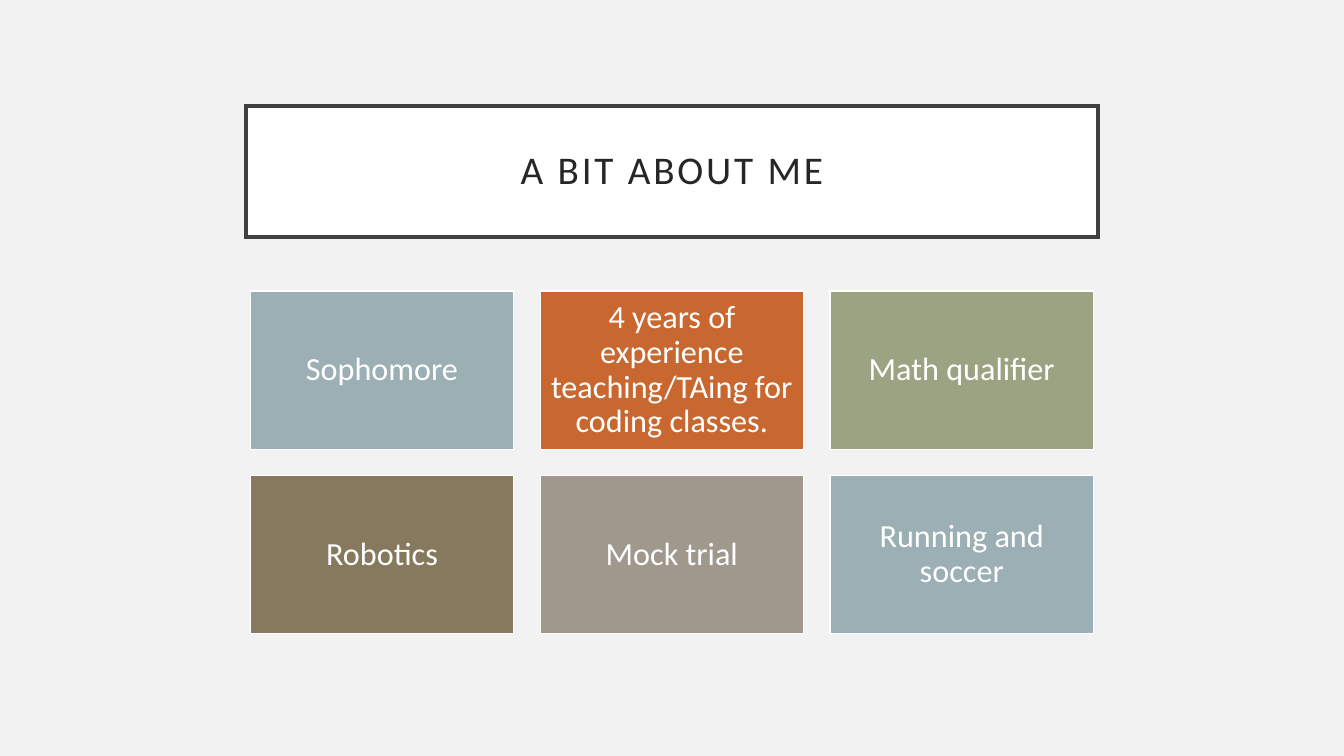
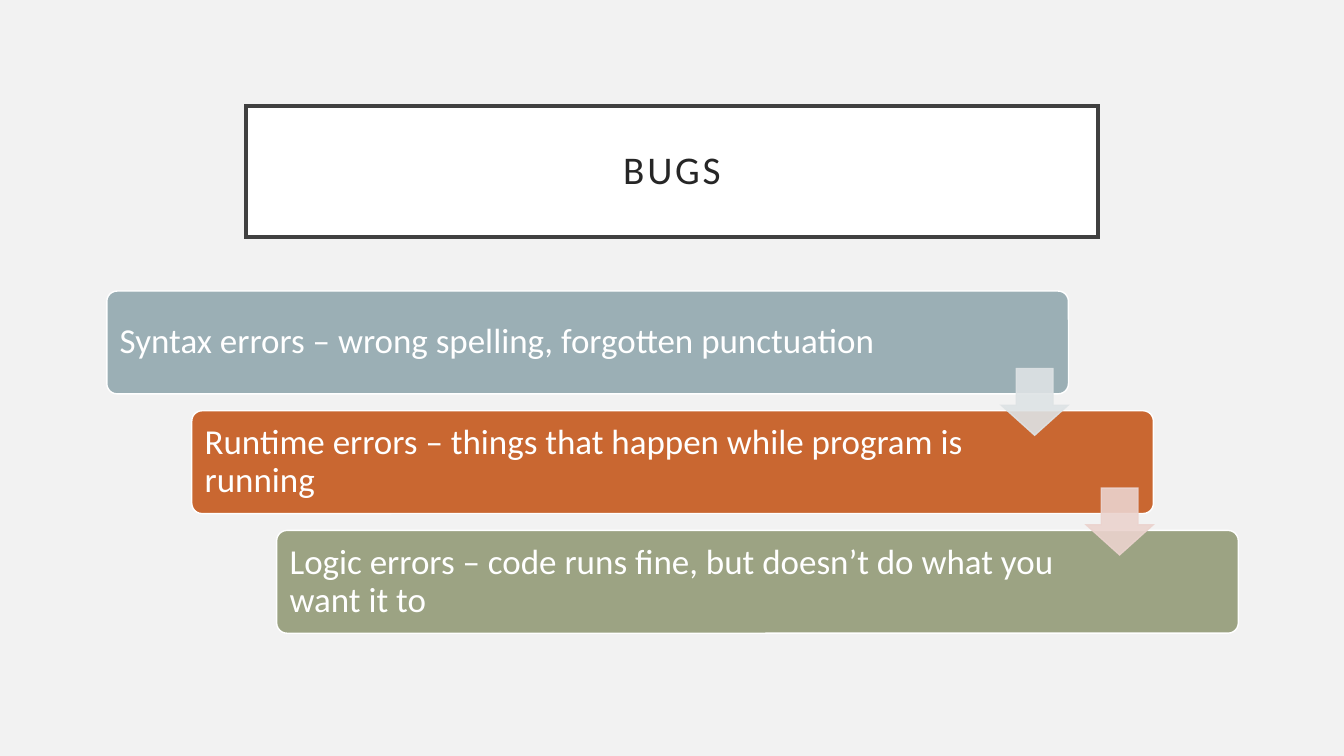
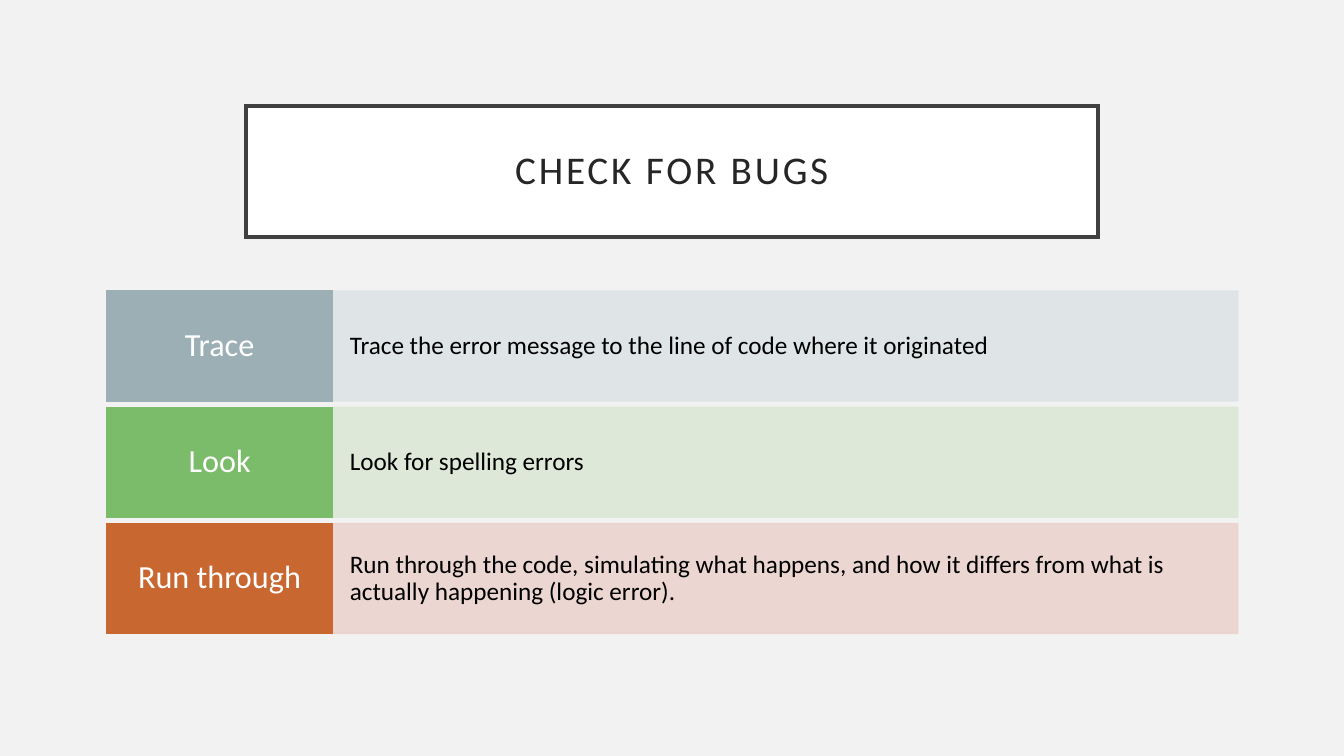
import pptx
import pptx.util
import pptx.dml.color
import pptx.enum.shapes
import pptx.enum.text
import pptx.oxml
import pptx.oxml.ns

RGBColor = pptx.dml.color.RGBColor
Inches = pptx.util.Inches
Shape = pptx.enum.shapes.MSO_SHAPE
Align = pptx.enum.text.PP_ALIGN

PALE = RGBColor(0xF2, 0xF2, 0xF2)
WHITE = RGBColor(0xFF, 0xFF, 0xFF)
BLACK = RGBColor(0x00, 0x00, 0x00)
INK = RGBColor(0x26, 0x26, 0x26)
FRAME = RGBColor(0x40, 0x40, 0x40)
BLUE = RGBColor(0x9B, 0xAF, 0xB5)
RUST = RGBColor(0xC9, 0x67, 0x31)
SAGE = RGBColor(0x9C, 0xA3, 0x83)
BROWN = RGBColor(0x87, 0x79, 0x5D)
STONE = RGBColor(0xA0, 0x98, 0x8C)
GREEN = RGBColor(0x7A, 0xBC, 0x69)
MIST = RGBColor(0xDE, 0xE3, 0xE5)
MINT = RGBColor(0xDB, 0xE8, 0xD6)
BLUSH = RGBColor(0xEB, 0xD3, 0xCE)

deck = pptx.Presentation()
deck.slide_width = Inches(13.33)
deck.slide_height = Inches(7.5)
COL = deck.slide_width / 100
ROW = deck.slide_height / 100
LEFT = 7.95
TOP = 38.5

back = deck.slide_master.background.fill
back.solid()
back.fore_color.rgb = PALE


def draw(slide, kind, x, y, w, h, fill, line, width=1, bends=(), alpha=100):
    shape = slide.shapes.add_shape(
        kind, round(x * COL), round(y * ROW), round(w * COL), round(h * ROW))
    shape.shadow.inherit = False
    shape.fill.solid()
    shape.fill.fore_color.rgb = fill
    shape.line.color.rgb = line
    shape.line.width = pptx.util.Pt(width)
    space = pptx.oxml.ns.nsdecls("a")
    edge = shape._element.spPr.find(pptx.oxml.ns.qn("a:ln"))
    edge.append(pptx.oxml.parse_xml(f'<a:miter {space} lim="800000"/>'))
    for spot, bend in enumerate(bends):
        shape.adjustments[spot] = bend
    if alpha < 100:
        for tint in shape._element.spPr.iter(pptx.oxml.ns.qn("a:srgbClr")):
            tint.append(pptx.oxml.parse_xml(f'<a:alpha {space} val="{alpha * 1000}"/>'))
    return shape


def write(shape, text, size=23, color=WHITE, align=Align.CENTER,
          pad=0.1, right=None, track=0):
    frame = shape.text_frame
    frame.word_wrap = True
    frame.vertical_anchor = pptx.enum.text.MSO_ANCHOR.MIDDLE
    frame.margin_left = Inches(pad)
    frame.margin_right = Inches(pad if right is None else right)
    frame.margin_top = frame.margin_bottom = Inches(0.1)
    para = frame.paragraphs[0]
    para.alignment = align
    para.line_spacing = 0.9
    run = para.add_run()
    run.text = text
    run.font.name = "Calibri"
    run.font.size = pptx.util.Pt(size)
    run.font.color.rgb = color
    if track:
        run.font._element.set("spc", str(track * 100))


pages = []
for title in ("A BIT ABOUT ME", "BUGS", "CHECK FOR BUGS"):
    page = deck.slides.add_slide(deck.slide_layouts[6])
    head = draw(page, Shape.RECTANGLE, 18.3, 14, 63.4, 17.33, WHITE, FRAME, width=2.5)
    write(head, title, size=28, color=INK, pad=0.2, track=2)
    pages.append(page)
about, bugs, check = pages

facts = [
    ("Sophomore", BLUE),
    ("4 years of experience teaching/TAing for coding classes.", RUST),
    ("Math qualifier", SAGE),
    ("Robotics", BROWN),
    ("Mock trial", STONE),
    ("Running and soccer", BLUE),
]
for spot, (text, fill) in enumerate(facts):
    row, col = divmod(spot, 3)
    tile = draw(about, Shape.RECTANGLE, 18.63 + 21.57 * col, TOP + 24.4 * row,
                19.6, 20.93, fill, WHITE)
    write(tile, text)

kinds = [
    ("Syntax errors – wrong spelling, forgotten punctuation", BLUE),
    ("Runtime errors – things that happen while program is running", RUST),
    ("Logic errors – code runs fine, but doesn’t do what you want it to", SAGE),
]
for step, (text, fill) in enumerate(kinds):
    bar = draw(bugs, Shape.ROUNDED_RECTANGLE, LEFT + 6.32 * step, TOP + 15.83 * step,
               71.55, 13.6, fill, WHITE, bends=(0.1,))
    write(bar, text, size=25, align=Align.LEFT, right=1.61)
for step, fill in enumerate((MIST, BLUSH)):
    draw(bugs, Shape.DOWN_ARROW, 74.5 + 6.32 * step, 48.75 + 15.83 * step,
         4.97, 8.83, fill, fill, bends=(0.55, 0.45), alpha=90)

tasks = [
    ("Trace", "Trace the error message to the line of code where it originated", BLUE, MIST),
    ("Look", "Look for spelling errors", GREEN, MINT),
    ("Run through", "Run through the code, simulating what happens, and how it differs "
     "from what is actually happening (logic error).", RUST, BLUSH),
]
for step, (name, text, dark, light) in enumerate(tasks):
    y = TOP + 15.38 * step
    band = draw(check, Shape.RECTANGLE, LEFT + 16.8, y, 67.35, 14.53, light, light, alpha=90)
    write(band, text, size=18, color=BLACK, align=Align.LEFT, pad=0.17)
    label = draw(check, Shape.RECTANGLE, LEFT, y, 16.8, 14.53, dark, dark)
    write(label, name, pad=0.12)

deck.save("out.pptx")
